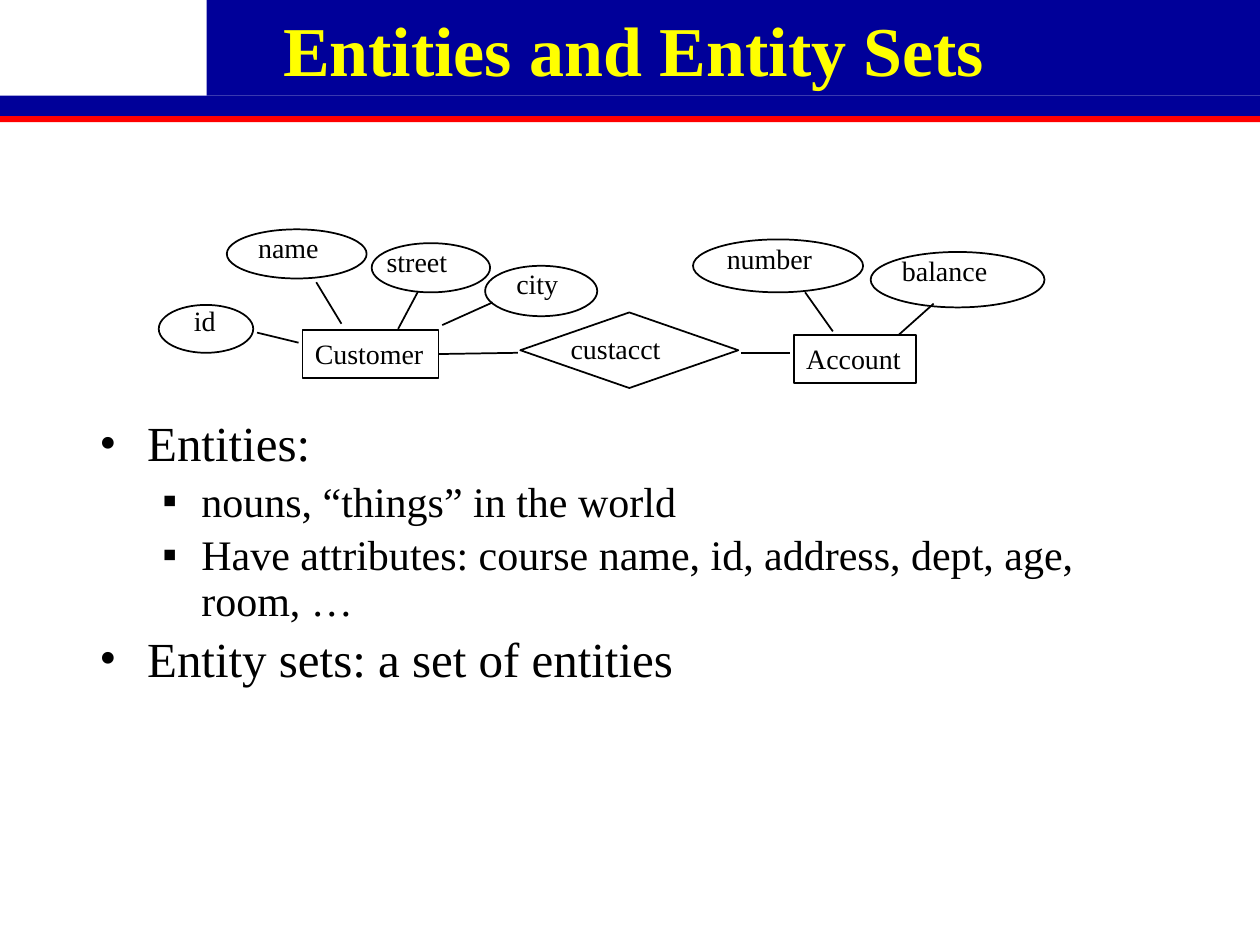
from dataclasses import dataclass

from lxml import etree
from pptx import Presentation
from pptx import util as u
from pptx.dml.color import RGBColor
from pptx.enum import shapes, text
from pptx.oxml.ns import qn


@dataclass(frozen=True)
class Theme:
    font: str = "Times New Roman"
    ink: str = "000000"
    title_ink: str = "FFFF00"
    band: str = "000099"
    rule: str = "FF0000"
    title: int = 40
    label: int = 16
    levels: tuple = (28, 24)
    line: int = 1


T = Theme()
PX = 9144  # one px is 1/100 inch


def emu(*px):
    return [u.Emu(v * PX) for v in px]


def write(p, words, size, color=T.ink, bold=False):
    r = p.add_run()
    r.text = words
    r.font.color.rgb = RGBColor.from_string(color)
    fmt = {"name": T.font, "size": u.Pt(size), "bold": bold}
    for key, value in fmt.items():
        setattr(r.font, key, value)


prs = Presentation()
prs.slide_width, prs.slide_height = emu(1000, 750)
s = prs.slides.add_slide(prs.slide_layouts[5])
MS = shapes.MSO_SHAPE
title = s.shapes.title

# Header bands, behind the title
for box, color in [
    ((0, 92, 1000, 5), T.rule),
    ((164, 0, 836, 76), T.band),
    ((0, 76, 1000, 16), T.band),
]:
    sp = s.shapes.add_shape(MS.RECTANGLE, *emu(*box))
    sp.shadow.inherit = False
    sp.fill.solid()
    sp.fill.fore_color.rgb = RGBColor.from_string(color)
    sp.line.fill.background()
    title._element.addprevious(sp._element)

# Title
title.left, title.top, title.width, title.height = emu(53, 0, 900, 125)
tf = title.text_frame
tf.vertical_anchor = text.MSO_ANCHOR.TOP
tf.auto_size = text.MSO_AUTO_SIZE.NONE
p = tf.paragraphs[0]
p.alignment = text.PP_ALIGN.CENTER
write(p, "Entities and Entity Sets", T.title, T.title_ink, True)

# Diagram nodes: name, outline, outline box, label box (None: text in outline)
nodes = [
    ("Customer", MS.RECTANGLE, (240, 262, 108, 38), None),
    ("name", MS.OVAL, (180, 182, 111, 39), (195, 178, 68, 37)),
    ("street", MS.OVAL, (295, 193, 94, 39), (297, 189, 69, 37)),
    ("number", MS.OVAL, (550, 190, 135, 42), (567, 187, 126, 37)),
    ("id", MS.OVAL, (126, 242, 75, 38), (144, 236, 38, 37)),
    ("Account", MS.RECTANGLE, (630, 266, 97, 38), None),
    ("balance", MS.OVAL, (691, 200, 138, 44), (706, 196, 88, 37)),
    ("city", MS.OVAL, (385, 211, 89, 40), (400, 207, 54, 37)),
    ("custacct", MS.DIAMOND, (413, 248, 173, 60), (443, 258, 92, 37)),
]
outlines = {}
for name, kind, box, label in nodes:
    parent = s.shapes.add_group_shape().shapes if label else s.shapes
    sp = parent.add_shape(kind, *emu(*box))
    sp.shadow.inherit = False
    sp.fill.background()
    sp.line.color.rgb = RGBColor.from_string(T.ink)
    sp.line.width = u.Pt(T.line)
    outlines[name] = sp
    holder = parent.add_textbox(*emu(*label)) if label else sp
    tf = holder.text_frame
    fmt = {
        "word_wrap": (label or box)[2] > 100,
        "vertical_anchor": text.MSO_ANCHOR.TOP,
        "auto_size": text.MSO_AUTO_SIZE.SHAPE_TO_FIT_TEXT,
    }
    for key, value in fmt.items():
        setattr(tf, key, value)
    p = tf.paragraphs[0]
    p.alignment = text.PP_ALIGN.LEFT
    write(p, name, T.label)

# Links: start, end, entity joined at the middle of its right side
for ends, joined in [
    ((237, 272, 204, 264), None),
    ((271, 257, 251, 224), None),
    ((316, 261, 332, 231), None),
    ((351, 258, 391, 240), None),
    ((661, 263, 639, 232), None),
    ((713, 266, 741, 241), None),
    ((411, 280, 349, 279), "Customer"),
    ((627, 280, 588, 280), None),
]:
    link = s.shapes.add_connector(shapes.MSO_CONNECTOR.STRAIGHT, *emu(*ends))
    link.line.color.rgb = RGBColor.from_string(T.ink)
    link.line.width = u.Pt(T.line)
    etree.SubElement(link._element.spPr, qn("a:effectLst"))
    if joined:
        link.end_connect(outlines[joined], 3)

# Bulleted body: marker, left margin px, hanging indent px, space before
styles = [("•", 38, 38, 5.6), ("▪", 81, 31, 4.8)]
tf = s.shapes.add_textbox(*emu(69, 328, 863, 364)).text_frame
tf.word_wrap = True
for i, (level, words) in enumerate([
    (0, "Entities:"),
    (1, "nouns, “things” in the world"),
    (1, "Have attributes: course name, id, address, dept, age, room, …"),
    (0, "Entity sets: a set of entities"),
]):
    marker, margin, hang, before = styles[level]
    p = tf.add_paragraph() if i else tf.paragraphs[0]
    pPr = p._p.get_or_add_pPr()
    pPr.set("marL", str(margin * PX))
    pPr.set("indent", str(-hang * PX))
    color = etree.SubElement(pPr, qn("a:buClr"))
    etree.SubElement(color, qn("a:srgbClr"), val=T.ink)
    etree.SubElement(pPr, qn("a:buFont"), typeface=T.font)
    etree.SubElement(pPr, qn("a:buChar"), char=marker)
    p.level = level
    p.line_spacing = 0.9
    p.space_before = u.Pt(before if i else 0)
    write(p, words, T.levels[level])

prs.save("out.pptx")
